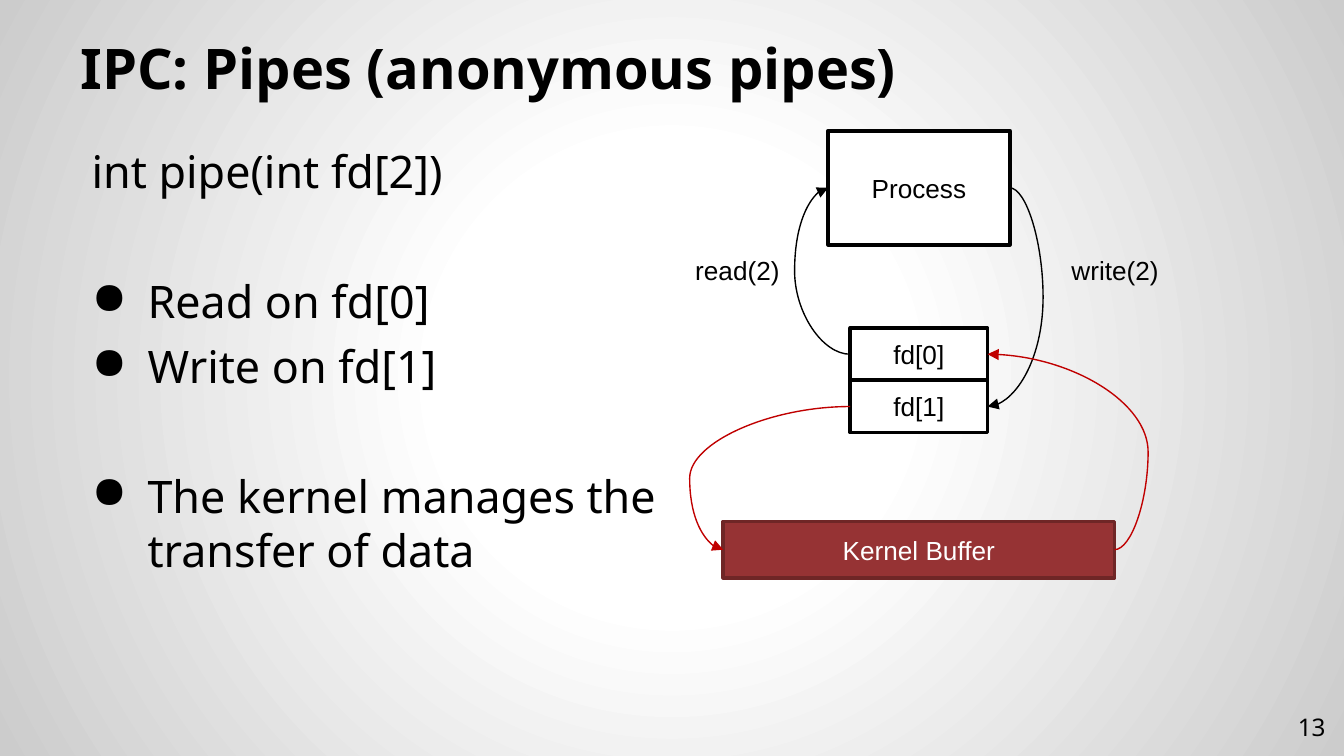
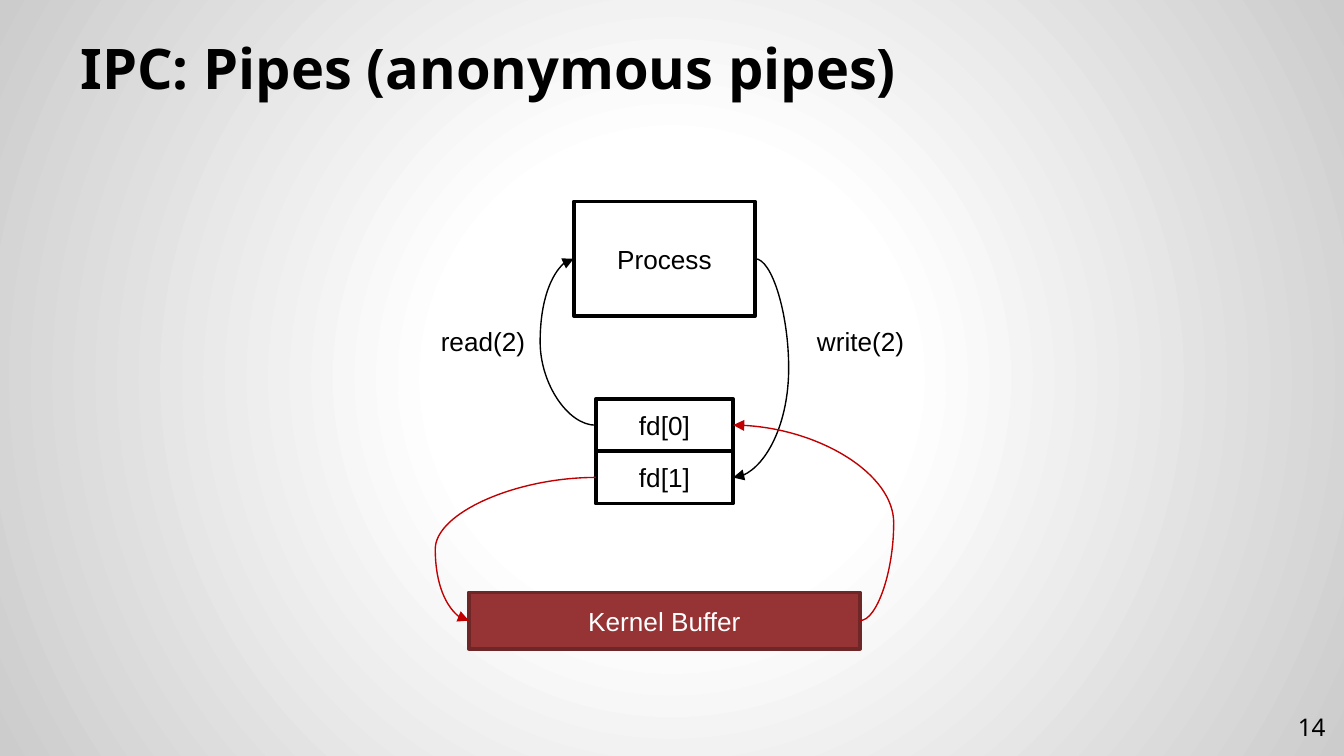
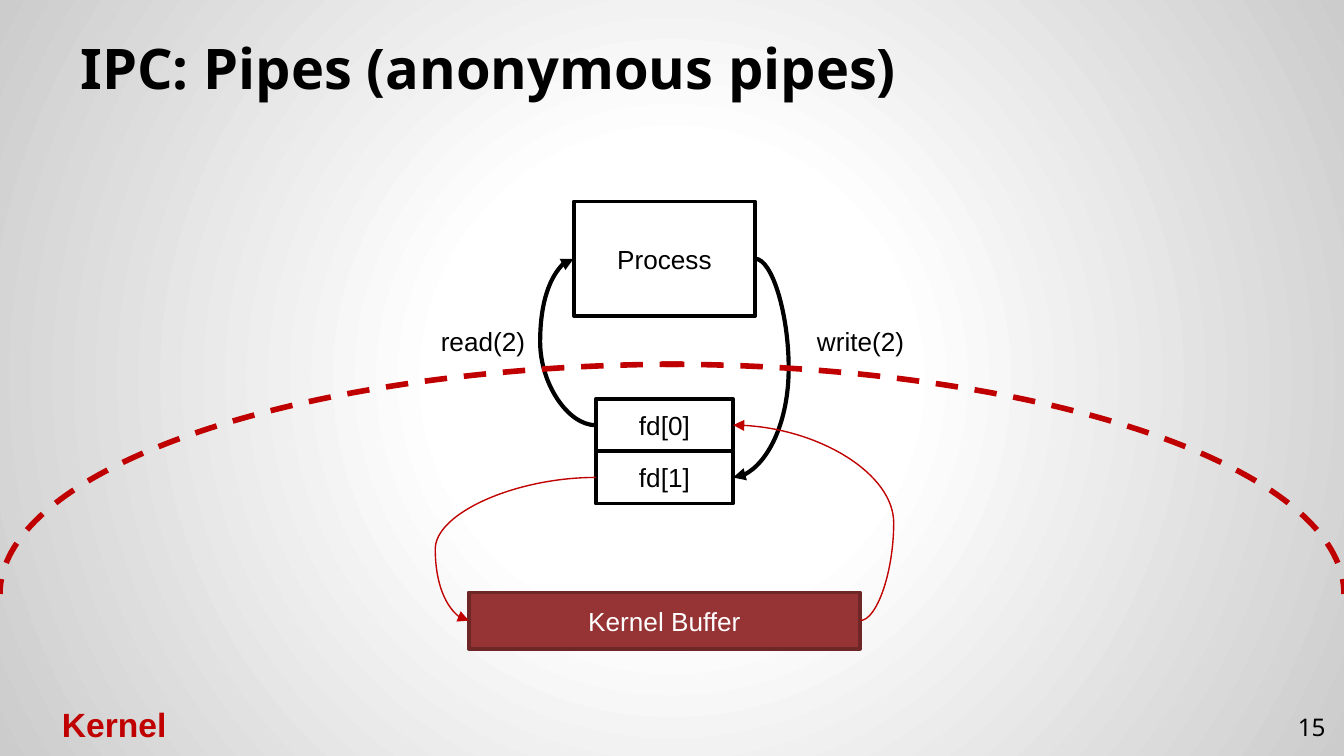
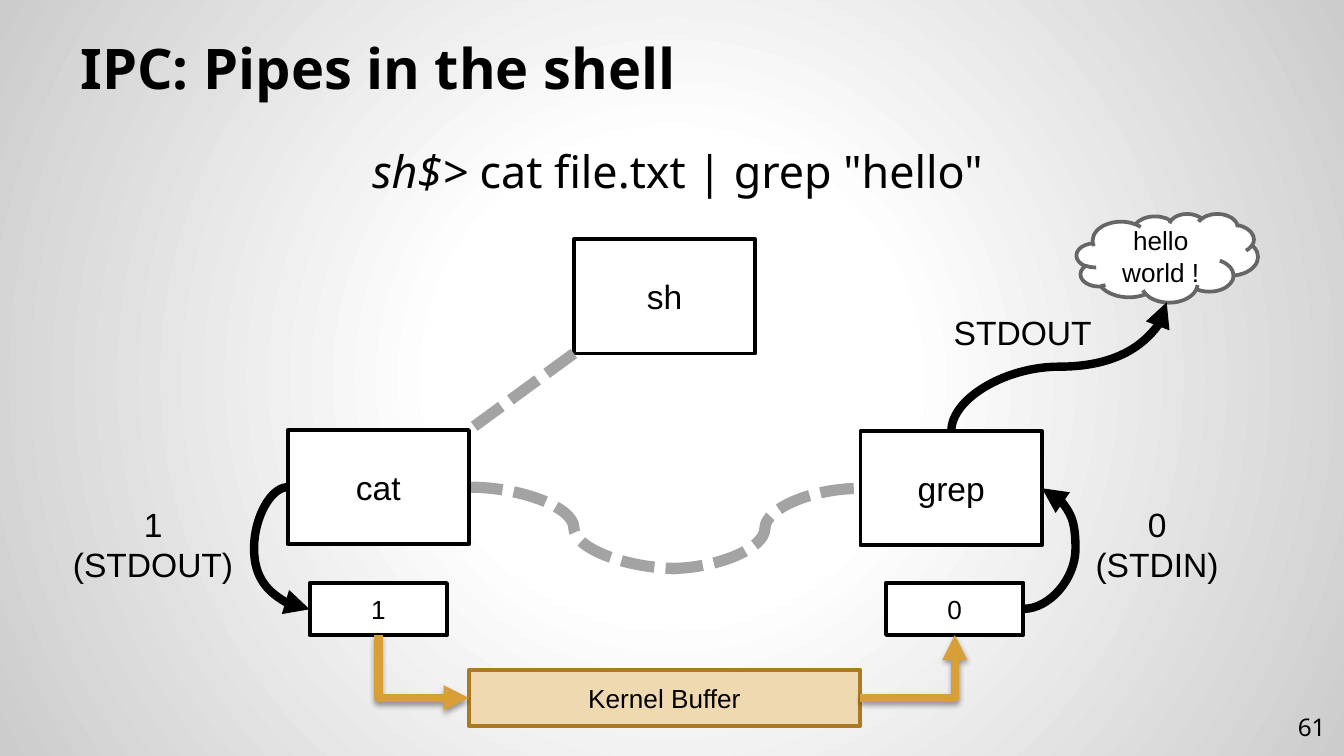
from dataclasses import dataclass

from lxml.etree import SubElement
from pptx import Presentation
from pptx.dml.color import RGBColor as RGB
from pptx.enum.dml import MSO_LINE_DASH_STYLE as Dash
from pptx.enum.shapes import MSO_CONNECTOR as Wire, MSO_SHAPE as Form
from pptx.enum.text import MSO_ANCHOR as Anchor, PP_ALIGN as Align
from pptx.oxml import parse_xml
from pptx.oxml.ns import nsdecls, qn
from pptx.util import Pt

BLACK, WHITE, RED, GRAY, GOLD = "000000", "FFFFFF", "C00000", "A3A3A3", "D89F39"
HEAD, BODY = "Noto Sans", "Arial"
TOP, LEFT, BOTTOM, RIGHT = range(4)
MID = 356  # shared centre line of the diagrams
REACH = 18  # how far a loop swings past its boxes
PITCH, GAP = 28.8, 6  # body line height and paragraph gap

Spot = tuple[float, float]


@dataclass
class Box:
    text: str
    x: float
    y: float
    w: float = 97.2
    h: float = 61.2
    size: float = 14
    fill: str = WHITE
    edge: str = BLACK
    ink: str = BLACK
    form: Form = Form.RECTANGLE

    def side(self, num: int) -> Spot:
        """Middle of a side, numbered like connection sites."""
        return (self.x + self.w * (0.5, 0, 0.5, 1)[num],
                self.y + self.h * (0, 0.5, 1, 0.5)[num])


@dataclass
class Link:
    start: Spot
    end: Spot
    ink: str = BLACK
    width: float = 4.5
    kind: Wire = Wire.CURVE
    bend: float | None = None  # x of the middle of a curve
    turn: bool = False  # leaves its start downwards or upwards
    arrow: bool = True
    dash: Dash | None = None
    shade: bool = False


@dataclass
class Item:
    text: str
    bullet: bool = True
    before: float = GAP


def tint(code: str) -> RGB:
    return RGB.from_string(code)


def add(node, tag: str, **attrs):
    return SubElement(node, qn(tag), attrs)


def write(frame, text: str, *, font=BODY, size=14, ink=BLACK, bold=False,
          align=Align.CENTER, anchor=Anchor.TOP, inset=None, lead="") -> None:
    """Fill a frame; a newline starts a paragraph, \\v breaks a line, lead is italic."""
    frame.word_wrap = True
    frame.vertical_anchor = anchor
    if inset is not None:
        frame.margin_left = frame.margin_right = Pt(inset)
        frame.margin_top = frame.margin_bottom = Pt(inset)
    for num, line in enumerate(text.split("\n")):
        par = frame.add_paragraph() if num else frame.paragraphs[0]
        par.alignment = align
        if lead:
            par.add_run().text = lead
            par.runs[0].font.italic = True
        for row, part in enumerate(line.split("\v")):
            if row:
                par.add_line_break()
            par.add_run().text = part
        for run in par.runs:
            run.font.name, run.font.size = font, Pt(size)
            run.font.bold, run.font.color.rgb = bold, tint(ink)


def label(slide, text: str, x: float, y: float, w: float, h: float, **style):
    box = slide.shapes.add_textbox(Pt(x), Pt(y), Pt(w), Pt(h))
    write(box.text_frame, text, **style)
    return box.text_frame


def draw(slide, box: Box) -> Box:
    shape = slide.shapes.add_shape(box.form, Pt(box.x), Pt(box.y), Pt(box.w), Pt(box.h))
    shape.shadow.inherit = False
    shape.fill.solid()
    shape.fill.fore_color.rgb = tint(box.fill)
    shape.line.color.rgb = tint(box.edge)
    shape.line.width = Pt(2)
    write(shape.text_frame, box.text, size=box.size, ink=box.ink, anchor=Anchor.MIDDLE)
    return box


def join(slide, link: Link) -> None:
    (ax, ay), (bx, by) = link.start, link.end
    if link.turn:  # ends before a quarter turn about the centre
        cx, cy = (ax + bx) / 2, (ay + by) / 2
        ax, ay, bx, by = cx + ay - cy, cy + cx - ax, cx + by - cy, cy + cx - bx
    wire = slide.shapes.add_connector(link.kind, Pt(ax), Pt(ay), Pt(bx), Pt(by))
    if link.turn:
        wire.rotation = 90
    wire.line.color.rgb = tint(link.ink)
    wire.line.width = Pt(link.width)
    if link.dash:
        wire.line.dash_style = link.dash
    props = wire._element.spPr
    geom = props.find(qn("a:prstGeom"))
    if link.kind == Wire.ELBOW:
        geom.set("prst", "bentConnector2")
    if link.bend is not None:
        ratio = round((link.bend - ax) / (bx - ax) * 100000)
        add(geom.find(qn("a:avLst")), "a:gd", name="adj1", fmla=f"val {ratio}")
    if link.arrow:
        add(props.find(qn("a:ln")), "a:tailEnd", type="triangle")
    effect = add(props, "a:effectLst")
    if link.shade:
        cast = add(effect, "a:outerShdw", blurRad=str(Pt(3.1)), dist=str(Pt(1.6)),
                   dir="5400000", rotWithShape="0")
        add(add(cast, "a:srgbClr", val=BLACK), "a:alpha", val="38000")


def loop(slide, start: Box, end: Box, side: int, **style) -> None:
    """Arrow that swings out between the same side of two boxes."""
    a, b = start.side(side), end.side(side)
    bend = min(a[0], b[0]) - REACH if side == LEFT else max(a[0], b[0]) + REACH
    join(slide, Link(a, b, bend=bend, **style))


def paint(deck) -> None:
    """Give the master its round gradient."""
    ground = deck.slide_master.background
    ground.fill.solid()
    props = deck.slide_master._element.find(".//" + qn("p:bgPr"))
    stops = "".join(f'<a:gs pos="{pos}"><a:srgbClr val="{code}"/></a:gs>'
                    for pos, code in ((0, WHITE), (30000, WHITE), (100000, "CCCCCC")))
    props.replace(props[0], parse_xml(
        f'<a:gradFill {nsdecls("a")}><a:gsLst>{stops}</a:gsLst><a:path path="circle">'
        '<a:fillToRect l="50000" t="50000" r="50000" b="50000"/></a:path></a:gradFill>'))


def start(deck, title: str, page: int):
    slide = deck.slides.add_slide(deck.slide_layouts[6])
    label(slide, title, 36, 16.6, 648, 44.6, font=HEAD, size=30, bold=True,
          align=Align.LEFT, anchor=Anchor.BOTTOM, inset=7.2)
    label(slide, str(page), 674, 373.8, 43.2, 30.9, font=HEAD, size=13,
          align=Align.RIGHT, anchor=Anchor.MIDDLE, inset=7.2)
    return slide


def prose(slide, items: list[Item], **style) -> None:
    frame = label(slide, "\n".join(item.text for item in items), 36, 69.8, 648, 317.5,
                  font=HEAD, size=24, inset=7.2, **style)
    for num, (par, item) in enumerate(zip(frame.paragraphs, items)):
        par.line_spacing = Pt(PITCH)
        if num:
            par.space_before = Pt(item.before)
        props = par._p.get_or_add_pPr()
        props.set("marL", str(Pt(36 if item.bullet else 6)))
        props.set("indent", str(Pt(-30 if item.bullet else 0)))
        if item.bullet:
            add(add(props, "a:buClr"), "a:srgbClr", val=BLACK)
            add(props, "a:buChar", char="●")


def pipe(slide, dx: float = 0, dy: float = 0, width: float = 0.75) -> None:
    """Process, its two ends of the pipe and the buffer, moved by dx, dy."""
    mid = MID + dx
    proc = draw(slide, Box("Process", mid - 48.6, 108 + dy))
    ends = [draw(slide, Box(f"fd[{num}]", mid - 36.8, 213.8 + 28 * num + dy, 73.6, 28))
            for num in range(2)]
    kernel = draw(slide, Box("Kernel Buffer", mid - 104.8, 317.4 + dy, 209.6, 30.2,
                             fill="963334", edge="6F2626", ink=WHITE))
    loop(slide, ends[0], proc, LEFT, width=width)
    loop(slide, proc, ends[1], RIGHT, width=width)
    for text, x in (("read(2)", -135.7), ("write(2)", 66.6)):
        label(slide, text, mid + x, 171 + dy, 77, 24.2)
    loop(slide, kernel, ends[0], RIGHT, ink=RED, width=0.75)
    loop(slide, ends[1], kernel, LEFT, ink=RED, width=0.75)


def border(slide) -> None:
    """Dashed dome that marks off the kernel."""
    for x, flip in ((-10.8, False), (0, True)):
        arc = slide.shapes.add_shape(Form.ARC, Pt(x), Pt(195.1), Pt(730.8), Pt(246.2))
        arc.shadow.inherit = False
        arc.fill.background()
        arc.line.color.rgb = tint(RED)
        arc.line.width = Pt(3)
        arc.line.dash_style = Dash.DASH
        if flip:
            arc._element.spPr.find(qn("a:xfrm")).set("flipH", "1")
    label(slide, "Kernel", 2.9, 373.7, 116.6, 28.8, size=18, ink=RED, bold=True)


def shell(slide) -> None:
    prose(slide, [Item('cat file.txt | grep "hello"', bullet=False)], lead="sh$> ")
    sh = draw(slide, Box("sh", MID - 48.6, 128.2, size=18))
    grep = draw(slide, Box("grep", 461, 231, size=18))
    zero = draw(slide, Box("0", 474.7, 312.2, 73.6, 28))
    one = draw(slide, Box("1", 165.9, 312.4, 73.6, 28))
    kernel = draw(slide, Box("Kernel Buffer", MID - 104.8, 358.8, 209.6, 30.2,
                             fill="EFD9B0", edge="AB7A22"))
    cloud = draw(slide, Box("hello world !", 576.7, 114.5, 97.2, 47.5,
                            edge="666666", form=Form.CLOUD))
    cat = Box("cat", 154.1, 230.4, size=18)

    loop(slide, cat, one, LEFT)
    loop(slide, zero, grep, RIGHT)
    gold = dict(ink=GOLD, kind=Wire.ELBOW, shade=True)
    join(slide, Link(one.side(BOTTOM), kernel.side(LEFT), turn=True, **gold))
    join(slide, Link(kernel.side(RIGHT), zero.side(BOTTOM), **gold))
    join(slide, Link(grep.side(TOP), (625, cloud.y + cloud.h), turn=True))
    dashed = dict(ink=GRAY, width=6, arrow=False, dash=Dash.SQUARE_DOT)
    join(slide, Link((358.6, 304.6), grep.side(LEFT), **dashed))
    join(slide, Link(cat.side(RIGHT), (363.6, 304.6), **dashed))
    join(slide, Link((sh.x, sh.y + sh.h), (cat.x + cat.w, cat.y), kind=Wire.STRAIGHT,
                     **dashed))
    for text, x, y, w, h in (("STDOUT", 501.1, 163.4, 93.6, 28.8),
                             ("1\n(STDOUT)", 30.2, 266.4, 103.7, 51.1),
                             ("0\n(STDIN)", 573.1, 266.4, 93.6, 51.1)):
        label(slide, text, x, y, w, h, size=18)
    draw(slide, cat)


def main() -> None:
    deck = Presentation()
    deck.slide_width, deck.slide_height = Pt(720), Pt(405)
    paint(deck)
    title = "IPC: Pipes (anonymous pipes)"

    slide = start(deck, title, 13)
    wide = PITCH + 2 * GAP
    prose(slide, [Item("int pipe(int fd[2])", bullet=False),
                  Item("Read on fd[0]", before=wide),
                  Item("Write on fd[1]"),
                  Item("The kernel manages the\vtransfer of data", before=wide)],
          align=Align.LEFT)
    pipe(slide, 136.3, -38)

    pipe(start(deck, title, 14))

    slide = start(deck, title, 15)
    pipe(slide, width=2.25)
    border(slide)

    shell(start(deck, "IPC: Pipes in the shell", 61))
    deck.save("out.pptx")


if __name__ == "__main__":
    main()
